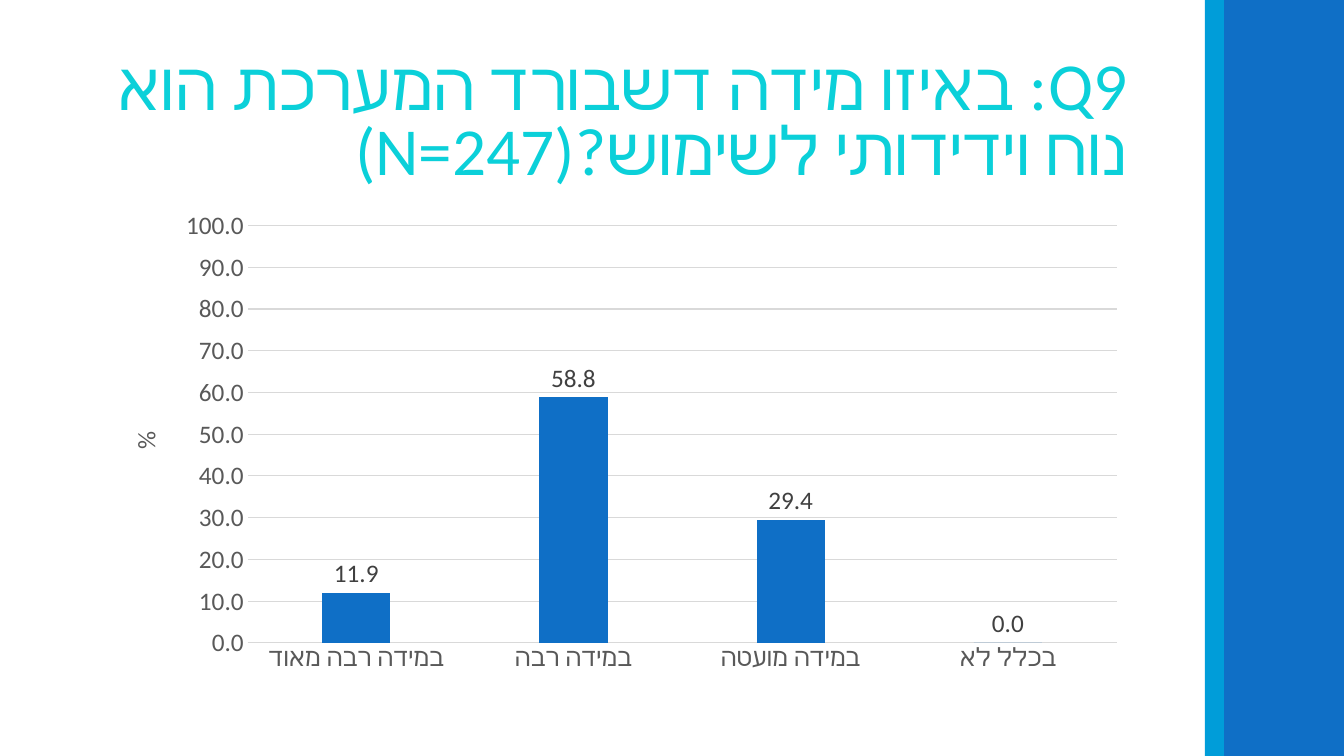
from lxml import etree
from pptx import Presentation
from pptx.chart.data import CategoryChartData
from pptx.dml.color import RGBColor
from pptx.enum.chart import XL_CHART_TYPE, XL_LABEL_POSITION, XL_TICK_MARK
from pptx.enum.shapes import MSO_SHAPE
from pptx.enum.text import MSO_ANCHOR, PP_ALIGN
from pptx.oxml.ns import qn
from pptx.util import Inches, Pt

COLUMNS = XL_CHART_TYPE.COLUMN_CLUSTERED
OUTSIDE_END = XL_LABEL_POSITION.OUTSIDE_END
NO_TICK = XL_TICK_MARK.NONE
RECTANGLE = MSO_SHAPE.RECTANGLE
MIDDLE = MSO_ANCHOR.MIDDLE
RIGHT = PP_ALIGN.RIGHT

FONT = "Calibri"
COLORS = {"blue": "0F6FC6", "sky": "009DD9", "title": "0BD0D9", "black": "000000",
          "axis": "595959", "label": "404040", "grid": "D9D9D9"}


def style_font(font, size, color):
    font.name = FONT
    font.size = Pt(size)
    font.bold = False
    font.color.rgb = RGBColor.from_string(COLORS[color])


def place(parent, index, **settings):
    """Give a chart part a manual layout, in fractions of the chart."""
    for old in parent.findall(qn("c:layout")):
        parent.remove(old)
    layout = etree.Element(qn("c:layout"))
    manual = etree.SubElement(layout, qn("c:manualLayout"))
    for name, value in settings.items():
        etree.SubElement(manual, qn("c:" + name)).set("val", str(value))
    parent.insert(index, layout)


deck = Presentation()
deck.slide_width = Inches(13.33)
deck.slide_height = Inches(7.5)
page = deck.slides.add_slide(deck.slide_layouts[6])

# Side bands
for left, width, color in ((11.95, 0.2, "sky"), (12.14, 1.19, "blue")):
    band = page.shapes.add_shape(RECTANGLE, Inches(left), 0, Inches(width), Inches(7.5))
    band.shadow.inherit = False
    band.fill.solid()
    band.fill.fore_color.rgb = RGBColor.from_string(COLORS[color])
    band.line.fill.background()

# Title, read from right to left
box = page.shapes.add_textbox(Inches(1.02), Inches(0.5), Inches(10.26), Inches(1.45))
frame = box.text_frame
frame.word_wrap = True
frame.vertical_anchor = MIDDLE
frame.text = "Q9: באיזו מידה דשבורד המערכת הוא נוח וידידותי לשימוש?(N=247)"
para = frame.paragraphs[0]
para.alignment = RIGHT
para.line_spacing = 0.8
para._p.get_or_add_pPr().set("rtl", "1")
span = para.runs[0]
style_font(span.font, 48, "title")
etree.SubElement(span._r.get_or_add_rPr(), qn("a:cs")).set("typeface", FONT)

# Column chart
data = CategoryChartData(number_format="0.0")
data.categories = ["במידה רבה מאוד", "במידה רבה", "במידה מועטה", "בכלל לא"]
data.add_series("Series 1", (11.9, 58.8, 29.4, 0))
chart = page.shapes.add_chart(COLUMNS, Inches(1.02), Inches(2), Inches(10.26),
                              Inches(4.76), data).chart
chart.has_legend = False
chart.has_title = False
style_font(chart.font, 18, "black")

plot = chart.plots[0]
plot.gap_width = 219
plot.overlap = -27
plot.vary_by_categories = False
series = plot.series[0]
series.format.fill.solid()
series.format.fill.fore_color.rgb = RGBColor.from_string(COLORS["blue"])

# Value labels
labels = series.data_labels
labels.show_value = True
labels.position = OUTSIDE_END
labels.number_format = "0.0"
labels.number_format_is_linked = False
style_font(labels.font, 18, "label")

# Axes
category_axis, value_axis = chart.category_axis, chart.value_axis
for axis in (category_axis, value_axis):
    axis.major_tick_mark = NO_TICK
    axis.minor_tick_mark = NO_TICK
    style_font(axis.tick_labels.font, 18, "axis")
value_axis.minimum_scale = 0
value_axis.maximum_scale = 100
value_axis.major_unit = 10
value_axis.has_major_gridlines = True
value_axis.tick_labels.number_format = "0.0"
value_axis.tick_labels.number_format_is_linked = False
value_axis.format.line.fill.background()
for line in (category_axis.format.line, value_axis.major_gridlines.format.line):
    line.color.rgb = RGBColor.from_string(COLORS["grid"])
    line.width = Pt(0.75)

# Upright axis title
axis_title = value_axis.axis_title
axis_title.text_frame.text = "%"
style_font(axis_title.text_frame.paragraphs[0].runs[0].font, 18, "axis")
title_xml = axis_title._element
body = title_xml.find(".//" + qn("a:bodyPr"))
body.set("rot", "-5400000")
body.set("vert", "horz")

# Places of the axis title and the plot
place(title_xml, 1, xMode="edge", yMode="edge", x=0.02, y=0.47)
place(chart._chartSpace.find(".//" + qn("c:plotArea")), 0, layoutTarget="inner",
      xMode="edge", yMode="edge", x=0.14, y=0.05, w=0.84, h=0.87)

deck.save("out.pptx")
